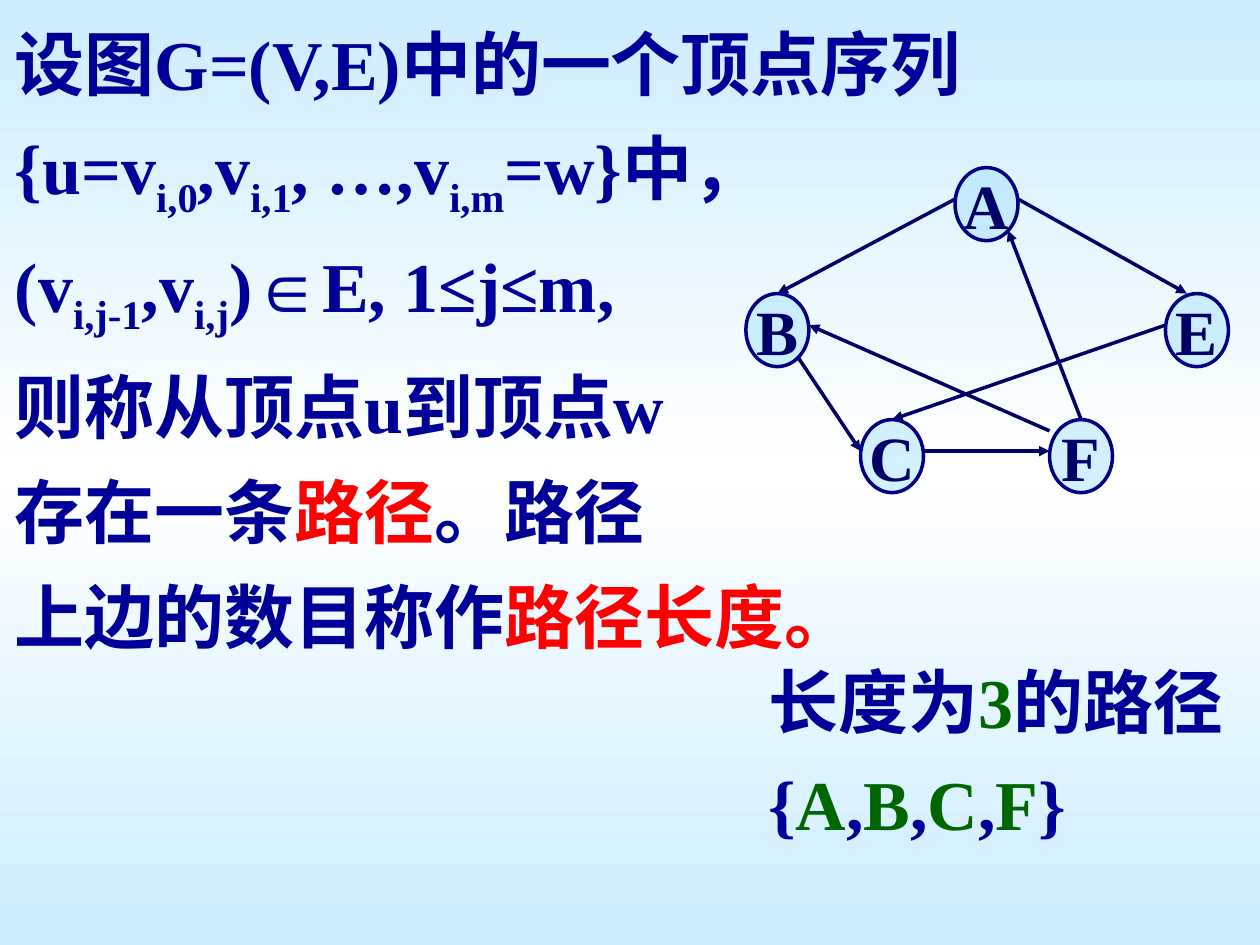
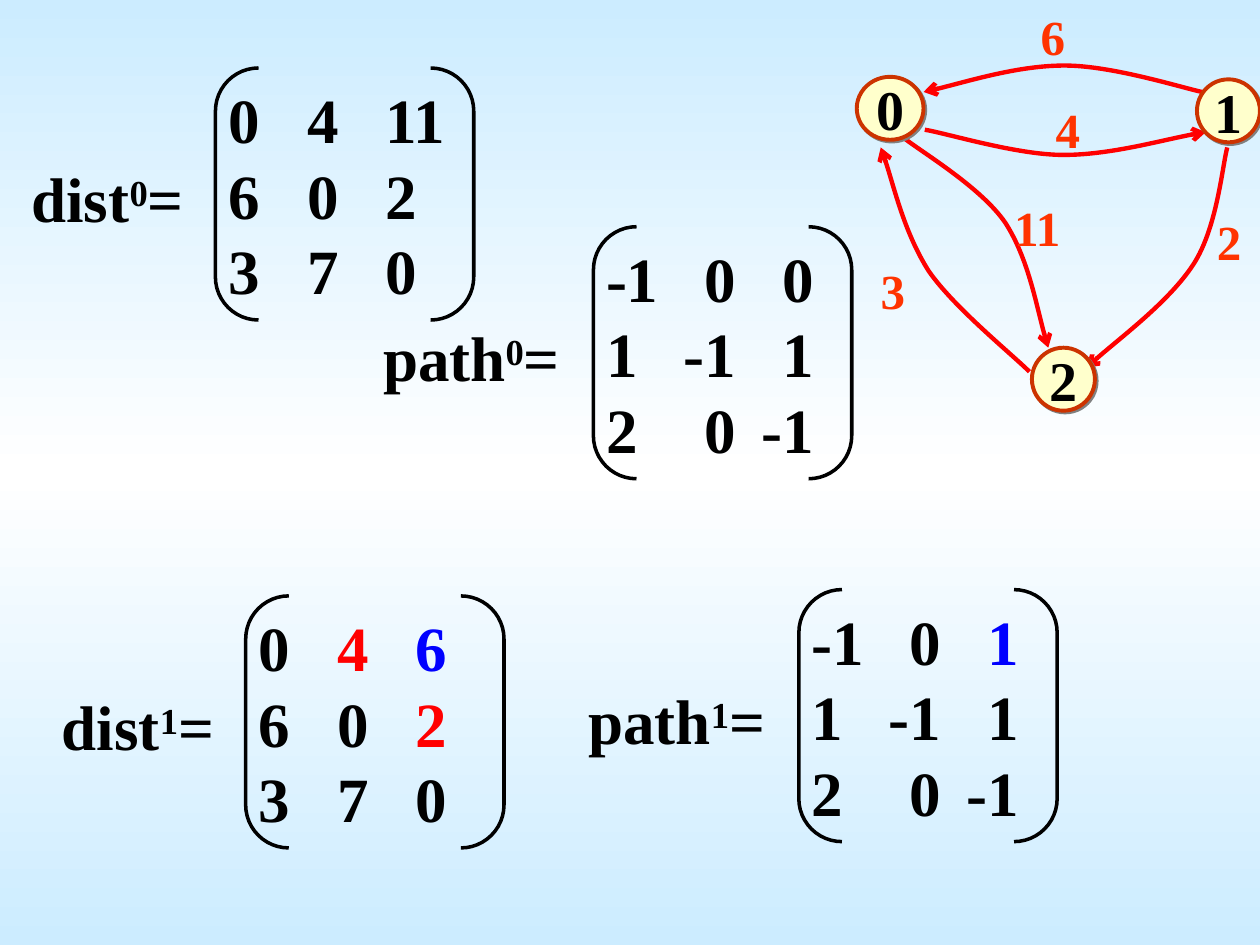
import copy
from dataclasses import dataclass

import lxml.etree
import pptx
import pptx.dml.color
import pptx.enum.shapes
import pptx.enum.text
import pptx.oxml.ns
import pptx.util

Inches = pptx.util.Inches
Pt = pptx.util.Pt
qn = pptx.oxml.ns.qn
ALIGN = pptx.enum.text.PP_ALIGN
SHAPE = pptx.enum.shapes.MSO_SHAPE


@dataclass(frozen=True)
class Theme:
    latin: str = "Times New Roman"
    east_asian: str = "Noto Sans CJK SC"
    symbol: str = "Arial"
    background: tuple = ("CCECFF", "FFFFFF", "CCECFF")
    body: str = "000099"
    red: str = "FF0000"
    green: str = "006600"
    blue: str = "0000FF"
    black: str = "000000"
    vertex_fill: str = "A7E2FF"
    vertex_line: str = "000080"
    vertex_text: str = "000066"
    weighted_fill: str = "FFFFCC"
    weighted_line: str = "CC3300"
    weight_text: str = "FF3300"
    shadow: str = "808080"
    body_size: int = 40
    matrix_size: int = 36
    node_size: int = 32
    weight_size: int = 28
    line_factor: float = 1.2


THEME = Theme()
SUB, SUPER, SYMBOL = "sub", "super", "symbol"
BASELINES = {SUB: "-25000", SUPER: "26000"}


# Shared helpers
def rgb(value):
    return pptx.dml.color.RGBColor.from_string(value)


def add_xml(parent, tag, **attributes):
    return lxml.etree.SubElement(parent, qn(tag), attributes)


def set_background(master):
    fill = master.background.fill
    fill.gradient()
    fill.gradient_angle = 90
    stops = master.element.find(".//" + qn("a:gsLst"))
    middle = copy.deepcopy(stops[0])
    middle.set("pos", "50000")
    stops.insert(1, middle)
    for stop, color in zip(fill.gradient_stops, THEME.background):
        stop.color.rgb = rgb(color)


def add_runs(paragraph, runs):
    """A run is plain text, or a pair of text and a style or colour."""
    for item in runs:
        text, style = (item, None) if isinstance(item, str) else item
        run = paragraph.add_run()
        run.text = text
        if style in BASELINES:
            run.font._element.set("baseline", BASELINES[style])
        elif style == SYMBOL:
            run.font.name = THEME.symbol
        elif style:
            run.font.color.rgb = rgb(style)


def format_paragraph(paragraph, size, color, align=ALIGN.LEFT, spacing=None):
    paragraph.alignment = align
    paragraph.line_spacing = Pt(spacing or size * THEME.line_factor)
    font = paragraph.font
    font.name, font.size, font.bold = THEME.latin, Pt(size), True
    font.color.rgb = rgb(color)
    add_xml(font._element, "a:ea", typeface=THEME.east_asian)


def set_frame(frame, wrap, horizontal=0.1, vertical=0.05):
    frame.word_wrap = wrap
    frame.margin_left = frame.margin_right = Inches(horizontal)
    frame.margin_top = frame.margin_bottom = Inches(vertical)


def add_text(slide, box, lines, size, color, wrap=True, margins=(0.1, 0.05), spacings=None):
    frame = slide.shapes.add_textbox(*map(Inches, box)).text_frame
    set_frame(frame, wrap, *margins)
    for index, runs in enumerate(lines):
        paragraph = frame.paragraphs[0] if index == 0 else frame.add_paragraph()
        add_runs(paragraph, runs)
        format_paragraph(paragraph, size, color, spacing=spacings and spacings[index])


def set_line(shape, color, width, arrow=None):
    shape.line.color.rgb = rgb(color)
    shape.line.width = Pt(width)
    if arrow:
        add_xml(shape.get_or_add_ln(), "a:tailEnd", type=arrow)


def add_node(slide, box, name, size, fill, line, width, color):
    node = slide.shapes.add_shape(SHAPE.OVAL, *map(Inches, box))
    node.shadow.inherit = False
    node.fill.solid()
    node.fill.fore_color.rgb = rgb(fill)
    set_line(node, line, width)
    frame = node.text_frame
    set_frame(frame, False)
    frame.vertical_anchor = pptx.enum.text.MSO_ANCHOR.MIDDLE
    add_runs(frame.paragraphs[0], [name])
    format_paragraph(frame.paragraphs[0], size, color, ALIGN.CENTER)
    return node


# Directed graph with straight edges
def add_directed_graph(slide, left, top):
    edges = [
        ((1.66, 0.25), (0.25, 1)),
        ((0.41, 1.5), (0.91, 2.25)),
        ((1.41, 2.25), (2.41, 2.25)),
        ((2.66, 2), (2.08, 0.5)),
        ((2.16, 0.25), (3.5, 1)),
        ((2.41, 2.09), (0.5, 1.25)),
        ((3.33, 1.25), (1.16, 2)),
    ]
    for start, end in edges:
        points = [Inches(offset + value) for point in (start, end)
                  for offset, value in zip((left, top), point)]
        edge = slide.shapes.add_connector(
            pptx.enum.shapes.MSO_CONNECTOR.STRAIGHT, *points)
        set_line(edge, THEME.vertex_text, 2, "triangle")
        add_xml(edge.element.find(qn("p:spPr")), "a:effectLst")

    vertices = {"A": (1.66, 0), "B": (0, 1), "E": (3.33, 1), "C": (0.91, 2), "F": (2.41, 2)}
    for name, (x, y) in vertices.items():
        vertex = add_node(slide, (left + x, top + y, 0.5, 0.58), name, THEME.matrix_size,
                          THEME.vertex_fill, THEME.vertex_line, 2, THEME.vertex_text)
        color = vertex.element.find(qn("p:spPr")).find(qn("a:solidFill"))[0]
        add_xml(color, "a:alpha", val="50000")


# Weighted graph with curved edges
def add_curve(slide, left, top, points):
    (start_x, start_y), *others = [(Inches(left + x), Inches(top + y)) for x, y in points]
    builder = slide.shapes.build_freeform(start_x, start_y)
    builder.add_line_segments(others, close=False)
    curve = builder.convert_to_shape()
    curve.shadow.inherit = False
    curve.fill.background()
    set_line(curve, THEME.red, 2.5, "arrow")
    # Every three points after the start become one Bezier segment
    outline = curve.element.find(".//" + qn("a:path"))
    segments = outline.findall(qn("a:lnTo"))
    for first in range(0, len(segments), 3):
        bezier = add_xml(outline, "a:cubicBezTo")
        for segment in segments[first:first + 3]:
            bezier.append(segment[0])
            outline.remove(segment)


def add_weighted_graph(slide, left, top):
    curves = [
        [(0.54, 1.03), (0.72, 1.06), (1.27, 1.23), (1.64, 1.23),
         (2.01, 1.23), (2.54, 1.08), (2.77, 1.05)],
        [(1.37, 2.95), (1.23, 2.81), (0.77, 2.44), (0.57, 2.15),
         (0.38, 1.85), (0.27, 1.38), (0.19, 1.17)],
        [(2.74, 0.73), (2.56, 0.69), (2.02, 0.52), (1.65, 0.52),
         (1.28, 0.52), (0.77, 0.68), (0.53, 0.73)],
        [(2.94, 1.17), (2.9, 1.32), (2.86, 1.81), (2.67, 2.1),
         (2.48, 2.39), (2, 2.75), (1.82, 2.92)],
        [(0.38, 1.1), (0.52, 1.21), (0.99, 1.49), (1.18, 1.77),
         (1.36, 2.05), (1.45, 2.55), (1.52, 2.76)],
    ]
    for points in curves:
        add_curve(slide, left, top, points)

    for name, x, y, width in [("0", 0, 0.61, 0.53), ("1", 2.7, 0.63, 0.5), ("2", 1.39, 2.76, 0.5)]:
        node = add_node(slide, (left + x, top + y, width, 0.5), name, THEME.node_size,
                        THEME.weighted_fill, THEME.weighted_line, 2.25, THEME.black)
        effects = node.element.find(".//" + qn("a:effectLst"))
        shadow = add_xml(effects, "a:outerShdw", dist=str(Pt(1.4)), dir="2700000",
                         algn="ctr", rotWithShape="0")
        add_xml(shadow, "a:srgbClr", val=THEME.shadow)

    weights = [("2", 2.76, 1.63), ("11", 1.15, 1.52), ("3", 0.09, 2.02),
               ("6", 1.36, 0), ("4", 1.48, 0.74)]
    for weight, x, y in weights:
        box = (left + x, top + y, 0.19 + 0.2 * len(weight), 0.57)
        add_text(slide, box, [[weight]], THEME.weight_size, THEME.weight_text, wrap=False)


# Labelled matrix; columns are set by tab stops
def add_matrix(slide, left, top, name, step, rows, highlights=None):
    highlights = highlights or {}
    if name == "dist":
        label_width, bracket_left, stops, side = 1.48, 1.46, (0.63, 1.25), "l"
    else:
        label_width, bracket_left, stops, side = 1.7, 1.67, (1.03, 1.65), "r"
    add_text(slide, (left, top + 0.73, label_width, 0.6), [[name, (step, SUPER), "="]],
             THEME.matrix_size, THEME.black, margins=(0, 0))

    bracket = slide.shapes.add_shape(
        SHAPE.DOUBLE_BRACKET, *map(Inches, (left + bracket_left, top, 2.05, 2)))
    bracket.adjustments[0] = 0.171
    bracket.shadow.inherit = False
    bracket.fill.background()
    set_line(bracket, THEME.black, 2)
    frame = bracket.text_frame
    set_frame(frame, True, 0, 0)
    frame.vertical_anchor = pptx.enum.text.MSO_ANCHOR.TOP
    for row_index, row in enumerate(rows):
        paragraph = frame.paragraphs[0] if row_index == 0 else frame.add_paragraph()
        runs = [(("\t" if column else "") + value, highlights.get((row_index, column)))
                for column, value in enumerate(row.split())]
        add_runs(paragraph, runs)
        tabs = add_xml(paragraph._p.get_or_add_pPr(), "a:tabLst")
        for stop in stops:
            add_xml(tabs, "a:tab", pos=str(Inches(stop)), algn=side)
        format_paragraph(paragraph, THEME.matrix_size, THEME.black)


# Slides
def build_path_definition(slide):
    definition = [
        ["设图G=(V,E)中的一个顶点序列"],
        ["{u=v", ("i,0", SUB), ",v", ("i,1", SUB), ", …,v", ("i,m", SUB), "=w}中，"],
        ["(v", ("i,j-1", SUB), ",v", ("i,j", SUB), ")", ("∈", SYMBOL), "E, 1≤j≤m,"],
        ["则称从顶点u到顶点w"],
        ["存在一条", ("路径", THEME.red), "。路径"],
        ["上边的数目称作", ("路径长度。", THEME.red)],
    ]
    # Lines with subscripts are taller
    add_text(slide, (0.02, -0.05, 10.33, 5.33), definition, THEME.body_size, THEME.body,
             spacings=(60, 66, 67, 63, 60, 60))
    add_directed_graph(slide, 5.92, 1.33)
    example = ["长度为", ("3", THEME.green), "的路径{"]
    for index, vertex in enumerate("ABCF"):
        example += [","] if index else []
        example.append((vertex, THEME.green))
    add_text(slide, (6, 5.04, 4.21, 1.7), [example + ["}"]], THEME.body_size, THEME.body,
             spacings=(58,))


def build_shortest_paths(slide):
    add_weighted_graph(slide, 6.8, 0)
    path_rows = ["1 -1 1", "2 0 -1"]
    add_matrix(slide, 0.49, 4.73, "dist", "1", ["0 4 6", "6 0 2", "3 7 0"],
               {(0, 1): THEME.red, (0, 2): THEME.blue, (1, 2): THEME.red})
    add_matrix(slide, 4.67, 4.68, "path", "1", ["-1 0 1"] + path_rows, {(0, 2): THEME.blue})
    add_matrix(slide, 0.25, 0.54, "dist", "0", ["0 4 11", "6 0 2", "3 7 0"])
    add_matrix(slide, 3.04, 1.8, "path", "0", ["-1 0 0"] + path_rows)


def main():
    presentation = pptx.Presentation()
    presentation.slide_width = Inches(10)
    presentation.slide_height = Inches(7.5)
    set_background(presentation.slide_master)
    blank = presentation.slide_layouts.get_by_name("Blank")
    for build in (build_path_definition, build_shortest_paths):
        build(presentation.slides.add_slide(blank))
    presentation.save("out.pptx")


if __name__ == "__main__":
    main()
